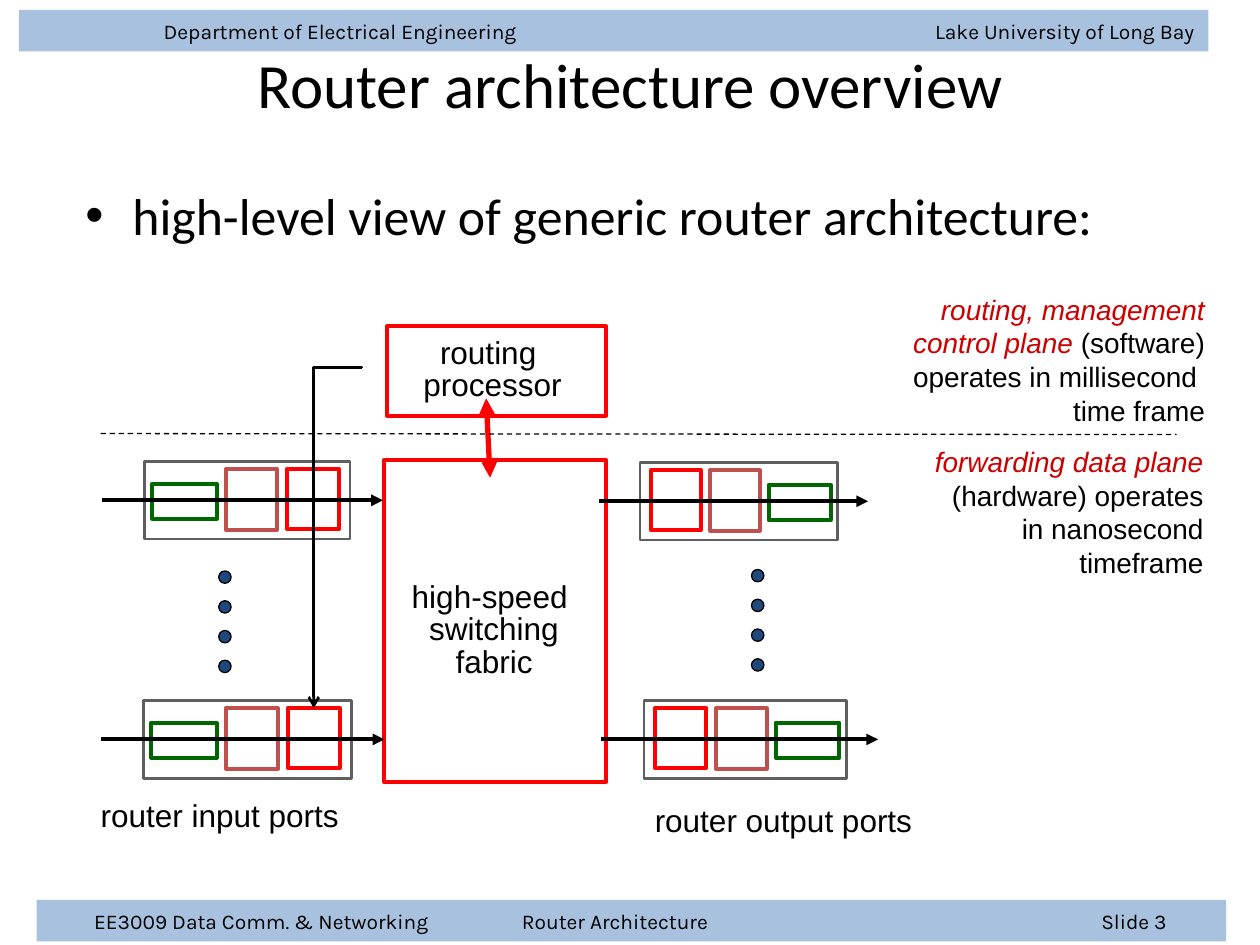
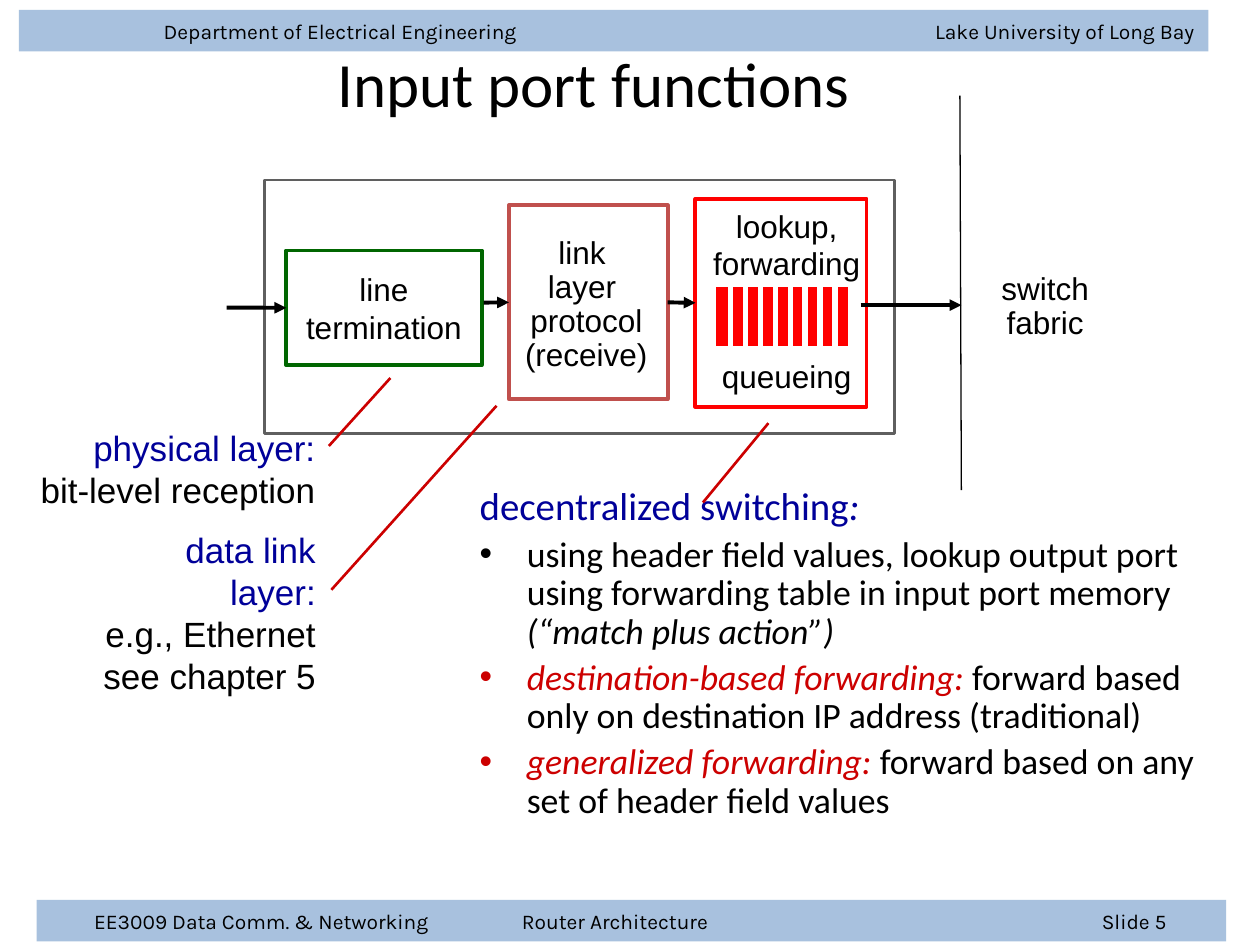
from dataclasses import dataclass
from typing import NamedTuple, Optional

from lxml.etree import SubElement
from pptx import Presentation
from pptx.dml.color import RGBColor
from pptx.enum.dml import MSO_LINE_DASH_STYLE as Dash
from pptx.enum.shapes import MSO_CONNECTOR as Link, MSO_SHAPE as Preset
from pptx.enum.text import MSO_ANCHOR as Anchor, MSO_AUTO_SIZE as AutoSize, PP_ALIGN as Align
from pptx.oxml.ns import qn
from pptx.util import Cm, Pt

BLACK, WHITE, RED, GREEN, ROSE = "000000", "FFFFFF", "FF0000", "006600", "C0504D"
GREY, CRIMSON, NAVY, DOT_BLUE, BAND_BLUE = "5F5F5F", "CC0000", "000099", "1F497D", "4F81BD"
HANGING = 0.95


class Area(NamedTuple):
    left: float
    top: float
    width: float
    height: float


class Point(NamedTuple):
    x: float
    y: float


class Span(NamedTuple):
    text: str
    color: str = BLACK
    italic: bool = False
    size: Optional[float] = None


@dataclass
class Para:
    spans: list[Span]
    bullet: bool = False
    hanging: bool = False
    before: float = 0


class TabStop(NamedTuple):
    position: float
    align: str


@dataclass
class Band:
    area: Area
    text_left: float
    tabs: list[TabStop]


@dataclass
class Port:
    frame: Area
    arrow_start: float
    arrow_end: float
    mirrored: bool = False


class Cell(NamedTuple):
    area: Area
    color: str


HEADER = Band(Area(0.38, 0.2, 23.98, 0.84), 2.92, [TabStop(20.78, "r")])
FOOTER = Band(Area(0.74, 18.14, 23.98, 0.84), 1.16, [TabStop(8.62, "l"), TabStop(21.62, "r")])

# Cells of a port, placed from the frame corner of a port PORT_WIDTH wide
PORT_WIDTH = 4.14
PORT_CELLS = [
    Cell(Area(0.15, 0.45, 1.3, 0.71), GREEN),
    Cell(Area(1.63, 0.16, 1.04, 1.22), ROSE),
    Cell(Area(2.87, 0.15, 1.04, 1.22), RED),
]
PORTS = [
    Port(Area(2.92, 9.3, 4.14, 1.57), 2.06, 7.72),
    Port(Area(2.9, 14.12, 4.19, 1.57), 2.03, 7.75),
    Port(Area(12.9, 9.32, 3.99, 1.57), 12.07, 17.5, mirrored=True),
    Port(Area(12.98, 14.12, 4.09, 1.57), 12.12, 17.7, mirrored=True),
]


def rgb(color: str) -> RGBColor:
    return RGBColor.from_string(color)


def add_box(slide, area: Area, *, fill=WHITE, line=None, width=2.25, preset=Preset.RECTANGLE):
    box = slide.shapes.add_shape(preset, *map(Cm, area))
    box.shadow.inherit = False
    box.fill.solid()
    box.fill.fore_color.rgb = rgb(fill)
    if line:
        box.line.color.rgb = rgb(line)
        box.line.width = Pt(width)
    else:
        box.line.fill.background()
    return box


def add_line(slide, start: Point, end: Point, *, color=BLACK, width=2.25,
             head=None, tail=None, dash=None, kind=Link.STRAIGHT):
    line = slide.shapes.add_connector(kind, *map(Cm, (*start, *end)))
    line.line.color.rgb = rgb(color)
    line.line.width = Pt(width)
    if dash:
        line.line.dash_style = dash
    properties = line._element.spPr
    outline = properties.find(qn("a:ln"))
    for tag, arrow in (("a:headEnd", head), ("a:tailEnd", tail)):
        if arrow:
            SubElement(outline, qn(tag), type=arrow)
    SubElement(properties, qn("a:effectLst"))
    return line


def write_text(frame, text, *, font="Arial", size=18.0, align=Align.LEFT, color=BLACK,
               spacing=None, wrap=False, anchor=Anchor.TOP, grow=True):
    """Fill a frame from a string with line breaks, or from a list of Para."""
    frame.word_wrap = wrap
    frame.vertical_anchor = anchor
    frame.auto_size = AutoSize.SHAPE_TO_FIT_TEXT if grow else AutoSize.NONE
    if isinstance(text, str):
        text = [Para([Span(row, color)]) for row in text.split("\n")]
    for index, content in enumerate(text):
        para = frame.add_paragraph() if index else frame.paragraphs[0]
        para.alignment = align
        if spacing:
            para.line_spacing = spacing
        if content.before:
            para.space_before = Pt(content.before)
        for span in content.spans:
            run = para.add_run()
            run.text = span.text
            run.font.name = font
            run.font.size = Pt(span.size or size)
            run.font.italic = span.italic
            run.font.color.rgb = rgb(span.color)
        if content.hanging or content.bullet:
            properties = para._p.get_or_add_pPr()
            properties.set("marL", str(Cm(HANGING)))
            properties.set("indent", str(-Cm(HANGING)))
            if content.bullet:
                SubElement(properties, qn("a:buFont"), typeface="Arial")
                SubElement(properties, qn("a:buChar"), char="•")


def add_text(slide, area: Area, text, **text_format):
    box = slide.shapes.add_textbox(*map(Cm, area))
    write_text(box.text_frame, text, **text_format)
    return box


def add_band(slide, band: Band, parts: list[str]) -> None:
    """Draw a tinted strip whose parts are set apart by tab stops."""
    box = add_box(slide, band.area, fill=BAND_BLUE)
    tint = box._element.spPr.find(qn("a:solidFill"))[0]
    SubElement(tint, qn("a:alpha"), val="49000")
    frame = box.text_frame
    frame.margin_left = Cm(band.text_left)
    frame.margin_top = frame.margin_bottom = Cm(0)
    write_text(frame, "\t".join(parts), font="Karla", size=12,
               wrap=True, anchor=Anchor.MIDDLE, grow=False)
    stops = SubElement(frame.paragraphs[0]._p.get_or_add_pPr(), qn("a:tabLst"))
    for stop in band.tabs:
        SubElement(stops, qn("a:tab"), pos=str(Cm(stop.position)), algn=stop.align)


def start_slide(deck, title: str, title_corner: Point, number: int):
    slide = deck.slides.add_slide(deck.slide_layouts[6])
    add_band(slide, HEADER, ["Department of Electrical Engineering", "Lake University of Long Bay"])
    add_band(slide, FOOTER, ["EE3009 Data Comm. & Networking", "Router Architecture", f"Slide {number}"])
    add_text(slide, Area(*title_corner, 21.59, 1.7), title, font="Calibri", size=36,
             align=Align.CENTER, wrap=True, anchor=Anchor.MIDDLE, grow=False)
    return slide


def add_port(slide, port: Port) -> None:
    frame = port.frame
    add_box(slide, frame, line=GREY, width=1.5)
    scale = frame.width / PORT_WIDTH
    for area, color in PORT_CELLS:
        width = area.width * scale
        offset = area.left * scale
        if port.mirrored:
            offset = frame.width - offset - width
        add_box(slide, Area(frame.left + offset, frame.top + area.top, width, area.height), line=color)
    middle = frame.top + frame.height / 2
    add_line(slide, Point(port.arrow_start, middle), Point(port.arrow_end, middle), tail="triangle")


def add_dots(slide, left: float, top: float) -> None:
    for index in range(4):
        add_box(slide, Area(left, top + 0.6 * index, 0.25, 0.25), fill=DOT_BLUE,
                line=BLACK, width=0.75, preset=Preset.OVAL)


def add_update_path(slide) -> None:
    """Draw the elbow from the routing processor down to the lower input port."""
    elbow = add_line(slide, Point(3.38, 10.36), Point(10.24, 11.33), width=1.5,
                     tail="arrow", kind=Link.ELBOW)
    properties = elbow._element.spPr
    properties.find(qn("a:xfrm")).set("rot", "5400000")
    geometry = properties.find(qn("a:prstGeom"))
    adjustments = geometry.find(qn("a:avLst"))
    if adjustments is None:
        adjustments = SubElement(geometry, qn("a:avLst"))
    SubElement(adjustments, qn("a:gd"), name="adj1", fmla="val -100")


def build_overview(deck) -> None:
    slide = start_slide(deck, "Router architecture overview", Point(1.91, 0.84), 3)
    centred = dict(align=Align.CENTER, spacing=0.85)
    add_box(slide, Area(7.75, 9.27, 4.47, 6.5), line=RED)
    add_text(slide, Area(8.03, 11.63, 3.86, 2.21), "high-speed \nswitching\nfabric", **centred)
    add_box(slide, Area(7.8, 6.58, 4.42, 1.8), line=RED)
    add_text(slide, Area(8.28, 6.71, 3.3, 1.55), "routing \nprocessor", **centred)
    add_line(slide, Point(9.8, 8.03), Point(9.88, 9.63), color=RED, width=3,
             head="triangle", tail="triangle")
    for port in PORTS:
        add_port(slide, port)
    add_dots(slide, 4.41, 11.51)
    add_dots(slide, 15.15, 11.48)
    add_text(slide, Area(1.78, 15.93, 5.31, 1.02), "router input ports")
    add_text(slide, Area(12.95, 16.03, 5.69, 1.02), "router output ports")
    add_line(slide, Point(2.03, 8.74), Point(23.72, 8.76), width=0.75, dash=Dash.DASH)

    planes = dict(size=16, align=Align.RIGHT, wrap=True)
    add_text(slide, Area(18.51, 8.84, 6, 3), [
        Para([Span("forwarding data plane ", CRIMSON, True),
              Span("(hardware) operates in nanosecond timeframe")]),
    ], **planes)
    add_text(slide, Area(16.54, 5.77, 8, 3), [
        Para([Span("routing, management", CRIMSON, True)]),
        Para([Span("control plane ", CRIMSON, True), Span("(software)")]),
        Para([Span("operates in millisecond ")]),
        Para([Span("time frame")]),
    ], **planes)
    add_update_path(slide)
    add_text(slide, Area(1.47, 3.58, 21.59, 1.63), [
        Para([Span("high-level view of generic router architecture:")], bullet=True, before=5.9),
    ], font="Calibri", size=29.6, wrap=True, grow=False)


def add_queue(slide) -> None:
    add_box(slide, Area(14.38, 5.74, 2.77, 1.3), fill=RED, line=WHITE, width=3)
    for index in range(8):
        x = 14.73 + 0.3 * index
        add_line(slide, Point(x, 5.75), Point(x, 7), color=WHITE, width=3)


def build_input_port(deck) -> None:
    slide = start_slide(deck, "Input port functions", Point(1.17, 0.81), 5)
    add_box(slide, Area(5.33, 3.63, 12.7, 5.11), line=GREY, width=1.5)
    termination = add_box(slide, Area(5.77, 5.05, 3.94, 2.31), line=GREEN)
    write_text(termination.text_frame, "line\ntermination", align=Align.CENTER,
               anchor=Anchor.MIDDLE, grow=False)
    protocol = add_box(slide, Area(10.26, 4.14, 3.2, 3.91), line=ROSE)
    lookup = add_box(slide, Area(14.02, 4.01, 3.45, 4.19), line=RED)

    arrival = add_line(slide, Point(4.57, 6.2), Point(5.77, 6.2), tail="triangle")
    arrival.end_connect(termination, 1)
    to_protocol = add_line(slide, Point(9.75, 6.1), Point(10.26, 6.1), tail="triangle")
    to_protocol.end_connect(protocol, 1)
    to_lookup = add_line(slide, Point(13.46, 6.1), Point(14.02, 6.1), tail="triangle")
    to_lookup.begin_connect(protocol, 3)
    to_lookup.end_connect(lookup, 1)
    add_line(slide, Point(17.35, 6.15), Point(19.38, 6.15), tail="triangle")

    centred = dict(align=Align.CENTER, spacing=0.9, anchor=Anchor.MIDDLE, grow=False)
    add_text(slide, Area(10.36, 5, 2.92, 2.31), "link \nlayer \nprotocol\n(receive)", **centred)
    add_text(slide, Area(19.61, 5.05, 2.92, 2.31), "switch\nfabric", **centred)
    add_text(slide, Area(14.12, 4.04, 3.48, 4.06), [
        Para([Span("lookup,")]),
        Para([Span("forwarding")]),
        Para([Span("queueing")], before=43),
    ], align=Align.CENTER)

    def point(*spans: Span) -> Para:
        return Para(list(spans), bullet=True, before=4.1)

    add_text(slide, Area(9.42, 9.7, 15.16, 7.42), [
        Para([Span("decentralized switching", NAVY, size=22.2), Span(":", NAVY, True, 22.2)],
             hanging=True, before=4.4),
        point(Span("using header field values, lookup output port using forwarding table in input port memory "),
              Span("(“match plus action”)", italic=True)),
        point(Span("destination-based forwarding: ", CRIMSON, True),
              Span("forward based only on destination IP address (traditional)")),
        point(Span("generalized forwarding: ", CRIMSON, True),
              Span("forward based on any set of header field values")),
    ], font="Calibri", size=20.4, spacing=0.9, wrap=True, grow=False)

    for area, layer, details in [
        (Area(0.56, 8.48, 6.05, 1.96), "physical layer:", ["bit-level reception"]),
        (Area(1.57, 10.52, 5.05, 2.79), "data link layer:", ["e.g., Ethernet", "see chapter 5"]),
    ]:
        rows = [Para([Span(layer, NAVY)])] + [Para([Span(detail)]) for detail in details]
        add_text(slide, area, rows, size=20, align=Align.RIGHT)

    add_line(slide, Point(19.35, 1.93), Point(19.38, 9.88), width=0.75)
    add_queue(slide)
    for start, end in [
        (Point(6.63, 8.99), Point(7.87, 7.62)),
        (Point(6.68, 11.89), Point(10.01, 8.18)),
        (Point(14.17, 10.13), Point(15.49, 8.53)),
    ]:
        add_line(slide, start, end, color=CRIMSON, width=1.5)


def main() -> None:
    deck = Presentation()
    deck.slide_width, deck.slide_height = Cm(25.4), Cm(19.05)
    build_overview(deck)
    build_input_port(deck)
    deck.save("out.pptx")


if __name__ == "__main__":
    main()
